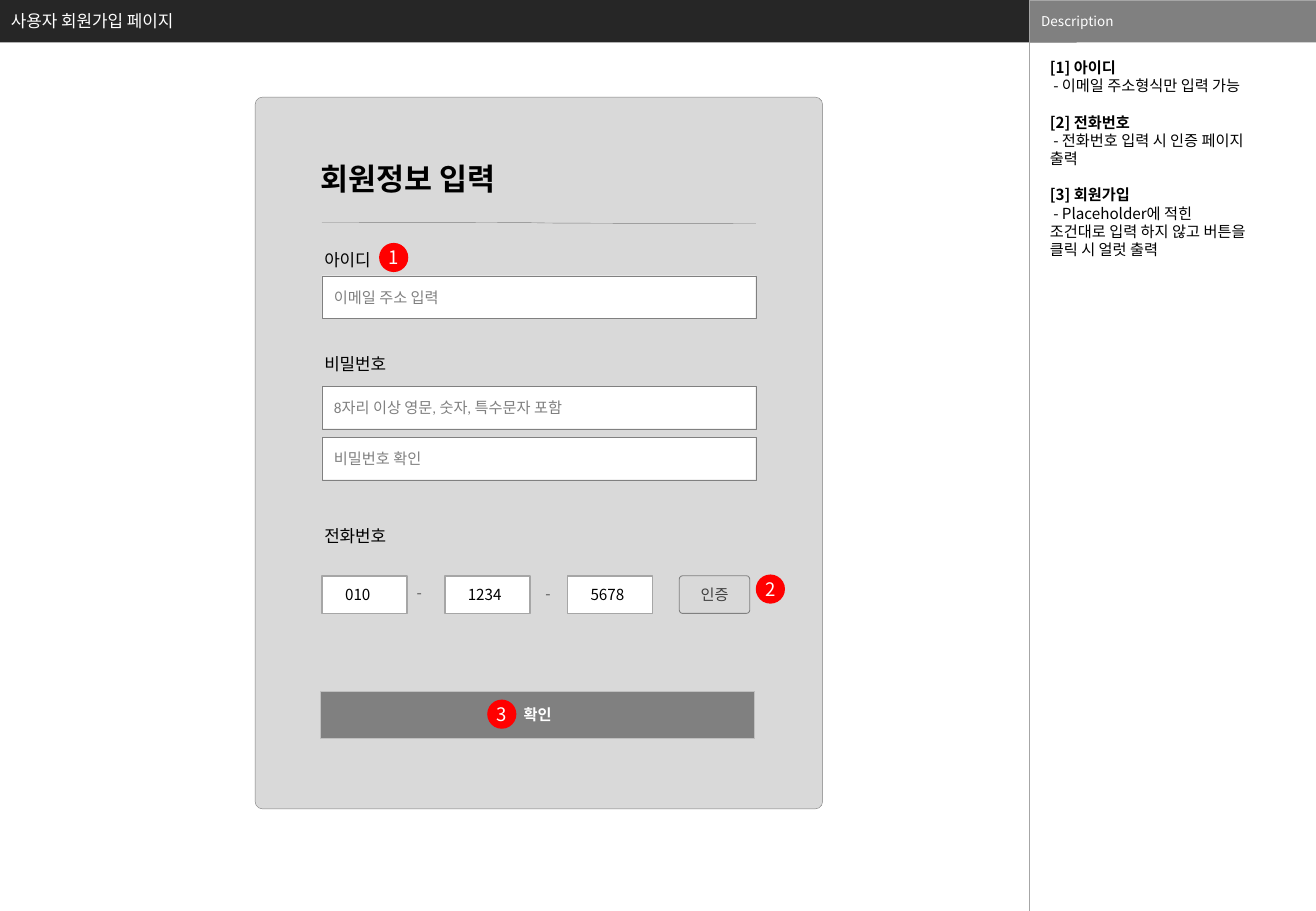
from lxml import etree
from pptx import Presentation
from pptx.dml.color import RGBColor
from pptx.enum.shapes import MSO_CONNECTOR, MSO_SHAPE
from pptx.enum.text import MSO_ANCHOR, MSO_AUTO_SIZE, PP_ALIGN
from pptx.oxml.ns import qn
from pptx.util import Inches, Pt

RECT, ROUND, OVAL = MSO_SHAPE.RECTANGLE, MSO_SHAPE.ROUNDED_RECTANGLE, MSO_SHAPE.OVAL
CURVE = MSO_CONNECTOR.CURVE
TOP, MIDDLE = MSO_ANCHOR.TOP, MSO_ANCHOR.MIDDLE
LEFT, CENTER = PP_ALIGN.LEFT, PP_ALIGN.CENTER
NO_AUTOFIT = MSO_AUTO_SIZE.NONE

KOREAN_FONT, LATIN_FONT = "Noto Sans CJK KR", "Calibri"
LINE_PITCH = 1.2
COLORS = {
    "header": "262626", "gray": "808080", "panel": "D9D9D9", "white": "FFFFFF",
    "black": "000000", "badge": "FF0000", "outline": "A6A6A6",
    "button_line": "BFBFBF", "verify": "404040", "dash": "595959",
}
FIELD_LEFT, FIELD_WIDTH, FIELD_HEIGHT = 2.65, 3.57, 0.35
PHONE_TOP, PHONE_STEP = 4.74, 1.01

LABELS = [("아이디", 2.01), ("비밀번호", 2.86), ("전화번호", 4.28)]
FIELDS = [
    ("이메일 주소 입력", 2.27, KOREAN_FONT),
    ("8자리 이상 영문, 숫자, 특수문자 포함", 3.18, LATIN_FONT),
    ("비밀번호 확인", 3.6, KOREAN_FONT),
]
PHONE_PARTS = ["010", "1234", "5678"]
DASHES = [(3.33, 4.75), (4.39, 4.76)]
BADGES = [("1", 3.12, 2), ("2", 6.22, 4.73), ("3", 4.01, 5.76)]
DESCRIPTION = [
    ("[1] 아이디", " - 이메일 주소형식만 입력 가능"),
    ("[2] 전화번호", " - 전화번호 입력 시 인증 페이지 출력"),
    ("[3] 회원가입", " - Placeholder에 적힌 조건대로 입력 하지 않고 버튼을 클릭 시 얼럿 출력"),
]


def rgb(color):
    return RGBColor.from_string(COLORS[color])


def format_paragraph(paragraph, size, color, bold=False, align=LEFT, font=KOREAN_FONT):
    paragraph.alignment = align
    paragraph.line_spacing = Pt(size * LINE_PITCH)
    paragraph.space_before = Pt(0)
    for run in paragraph.runs:
        run.font.name = font
        run.font.size = Pt(size)
        run.font.bold = bold
        run.font.color.rgb = rgb(color)
        east_asian = etree.Element(qn("a:ea"), typeface=KOREAN_FONT)
        run.font._element.find(qn("a:latin")).addnext(east_asian)


def set_frame(shape, anchor, margins=(0.1, 0.05, 0.1, 0.05), wrap=True):
    frame = shape.text_frame
    frame.auto_size = NO_AUTOFIT
    frame.word_wrap = wrap
    frame.vertical_anchor = anchor
    (frame.margin_left, frame.margin_top,
     frame.margin_right, frame.margin_bottom) = map(Inches, margins)
    return frame


def place(shape, left, top, width, height):
    shape.left, shape.top = Inches(left), Inches(top)
    shape.width, shape.height = Inches(width), Inches(height)


def add_box(slide, kind, bounds, fill=None, line=None, weight=0.25, radius=None):
    box = slide.shapes.add_shape(kind, *map(Inches, bounds))
    box.shadow.inherit = False
    if fill:
        box.fill.solid()
        box.fill.fore_color.rgb = rgb(fill)
    else:
        box.fill.background()
    if line:
        box.line.color.rgb = rgb(line)
        box.line.width = Pt(weight)
    else:
        box.line.fill.background()
    if radius is not None:
        box.adjustments[0] = radius
    return box


def write(shape, text, size, color, anchor=MIDDLE, margins=(0.1, 0.05, 0.1, 0.05),
          wrap=True, **style):
    frame = set_frame(shape, anchor, margins, wrap)
    frame.text = text
    format_paragraph(frame.paragraphs[0], size, color, **style)


def add_label(slide, text, bounds, size, color, **style):
    label = slide.shapes.add_textbox(*map(Inches, bounds))
    write(label, text, size, color, anchor=TOP, **style)


def add_badge(slide, number, left, top):
    badge = add_box(slide, OVAL, (left, top, 0.24, 0.24), "badge")
    write(badge, number, 11, "white", margins=(0, 0, 0, 0), wrap=False, align=CENTER)


def add_divider(slide):
    divider = slide.shapes.add_connector(
        CURVE, Inches(FIELD_LEFT), Inches(1.83),
        Inches(FIELD_LEFT + FIELD_WIDTH), Inches(1.84))
    divider.line.color.rgb = rgb("gray")
    divider.line.width = Pt(0.25)
    etree.SubElement(divider._element.spPr, qn("a:effectLst"))


def fill_header(slide):
    title = slide.shapes.title
    place(title, -0.01, -0.01, 8.87, 0.36)
    title.fill.solid()
    title.fill.fore_color.rgb = rgb("header")
    write(title, "사용자 회원가입 페이지", 10, "white")
    heading = add_box(slide, RECT, (8.47, 0, 2.36, 0.35), "gray")
    write(heading, "Description", 8, "white")
    add_box(slide, RECT, (8.47, 0, 2.36, 7.51), line="outline")


def fill_description(slide):
    body = slide.placeholders[1]
    place(body, 8.54, 0.43, 1.85, 1.77)
    frame = set_frame(body, TOP)
    lines = [line for entry in DESCRIPTION for line in entry]
    frame.text = "\n".join(lines)
    for index, paragraph in enumerate(frame.paragraphs):
        is_heading = index % 2 == 0
        format_paragraph(paragraph, 9, "black", bold=is_heading)
        if is_heading and index:
            paragraph.space_before = Pt(9 * LINE_PITCH)
        properties = paragraph._p.get_or_add_pPr()
        properties.set("marL", "0")
        properties.set("indent", "0")
        etree.SubElement(properties, qn("a:buNone"))


def add_phone_row(slide):
    for index, digits in enumerate(PHONE_PARTS):
        left = FIELD_LEFT + index * PHONE_STEP
        part = add_box(slide, RECT, (left, PHONE_TOP, 0.7, 0.31), "white", "outline", 1)
        write(part, digits, 9, "black", margins=(0.19, 0.05, 0.05, 0.05))
    for left, top in DASHES:
        add_label(slide, "-", (left, top, 0.24, 0.25), 9, "dash")
    verify = add_box(slide, ROUND, (5.59, PHONE_TOP, 0.58, 0.31),
                     "panel", "gray", 0.5, radius=0.088)
    write(verify, "인증", 9, "verify", margins=(0.05,) * 4, align=CENTER)


def add_form(slide):
    add_box(slide, ROUND, (2.1, 0.8, 4.67, 5.86), "panel", "gray", radius=0.013)
    add_divider(slide)
    add_label(slide, "회원정보 입력", (2.54, 1.27, 1.88, 0.4), 18, "black", bold=True)
    for text, top in LABELS:
        add_label(slide, text, (2.57, top, 0.85, 0.27), 10, "black", font=LATIN_FONT)
    for hint, top, font in FIELDS:
        field = add_box(slide, RECT, (FIELD_LEFT, top, FIELD_WIDTH, FIELD_HEIGHT),
                        "white", "gray")
        write(field, hint, 9, "gray", font=font)
    add_phone_row(slide)
    confirm = add_box(slide, RECT, (2.64, 5.69, FIELD_WIDTH, 0.39),
                      "gray", "button_line", 0.5)
    write(confirm, "확인", 9, "white", bold=True, align=CENTER)
    for badge in BADGES:
        add_badge(slide, *badge)


def main():
    presentation = Presentation()
    presentation.slide_width = Inches(10.83)
    presentation.slide_height = Inches(7.5)
    slide = presentation.slides.add_slide(presentation.slide_layouts[1])
    fill_header(slide)
    fill_description(slide)
    add_form(slide)
    presentation.save("out.pptx")


if __name__ == "__main__":
    main()
